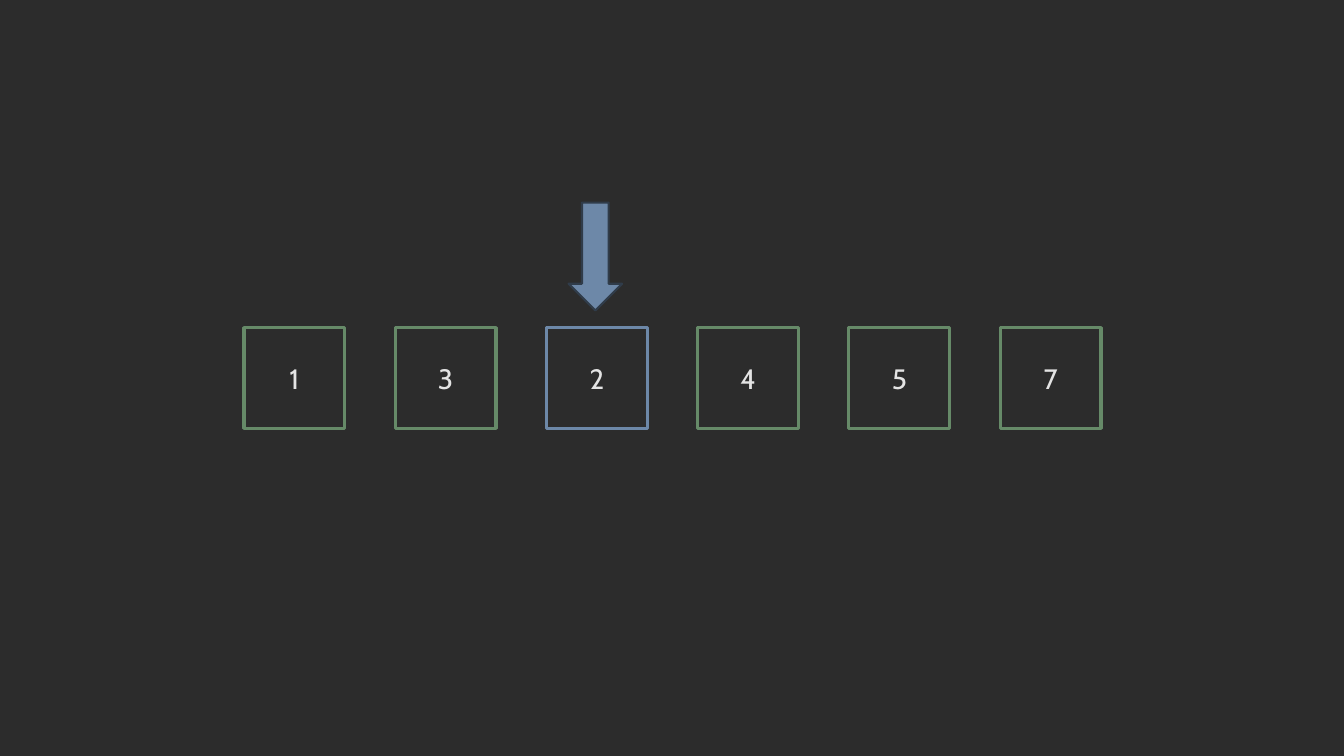
from pptx import Presentation
from pptx.dml.color import RGBColor
from pptx.enum.shapes import MSO_SHAPE
from pptx.enum.text import MSO_ANCHOR, PP_ALIGN
from pptx.util import Inches, Pt

RECT, DOWN_ARROW = MSO_SHAPE.RECTANGLE, MSO_SHAPE.DOWN_ARROW
MIDDLE, CENTER = MSO_ANCHOR.MIDDLE, PP_ALIGN.CENTER

BACKGROUND, GREEN, BLUE, NAVY, LIGHT = "2C2C2C", "668A68", "6D88A8", "303C4A", "E4E4E4"
VALUES = [1, 3, 2, 4, 5, 7]
CURRENT = 2  # index of the value the arrow points at
LEFT, TOP, SIZE, STEP = 2.42, 3.25, 1, 1.5


def rgb(color):
    return RGBColor.from_string(color)


class ArraySlide:
    """Holds the text style and the slide being drawn."""

    font = {"name": "Cabin", "size": Pt(20)}

    def __init__(self, prs):
        self.s = prs.slides.add_slide(prs.slide_layouts[6])
        fill = self.s.background.fill
        fill.solid()
        fill.fore_color.rgb = rgb(BACKGROUND)

    def shape(self, kind, box, line, width, fill=None):
        sp = self.s.shapes.add_shape(kind, *map(Inches, box))
        sp.shadow.inherit = False
        if fill:
            sp.fill.solid()
            sp.fill.fore_color.rgb = rgb(fill)
        else:
            sp.fill.background()
        sp.line.color.rgb = rgb(line)
        sp.line.width = Pt(width)
        return sp

    def cell(self, x, value, line):
        tf = self.shape(RECT, (x, TOP, SIZE, SIZE), line, 2.25).text_frame
        tf.vertical_anchor = MIDDLE
        p = tf.paragraphs[0]
        p.alignment = CENTER
        r = p.add_run()
        r.text = str(value)
        for name, setting in self.font.items():
            setattr(r.font, name, setting)
        r.font.color.rgb = rgb(LIGHT)

    def pointer(self, x):
        self.shape(DOWN_ARROW, (x, 2.01, 0.53, 1.07), NAVY, 1.5, BLUE)


def main():
    prs = Presentation()
    prs.slide_width, prs.slide_height = Inches(13.33), Inches(7.5)
    slide = ArraySlide(prs)
    for i, value in enumerate(VALUES):
        slide.cell(LEFT + i * STEP, value, BLUE if i == CURRENT else GREEN)
    slide.pointer(LEFT + CURRENT * STEP + 0.22)
    prs.save("out.pptx")


if __name__ == "__main__":
    main()
